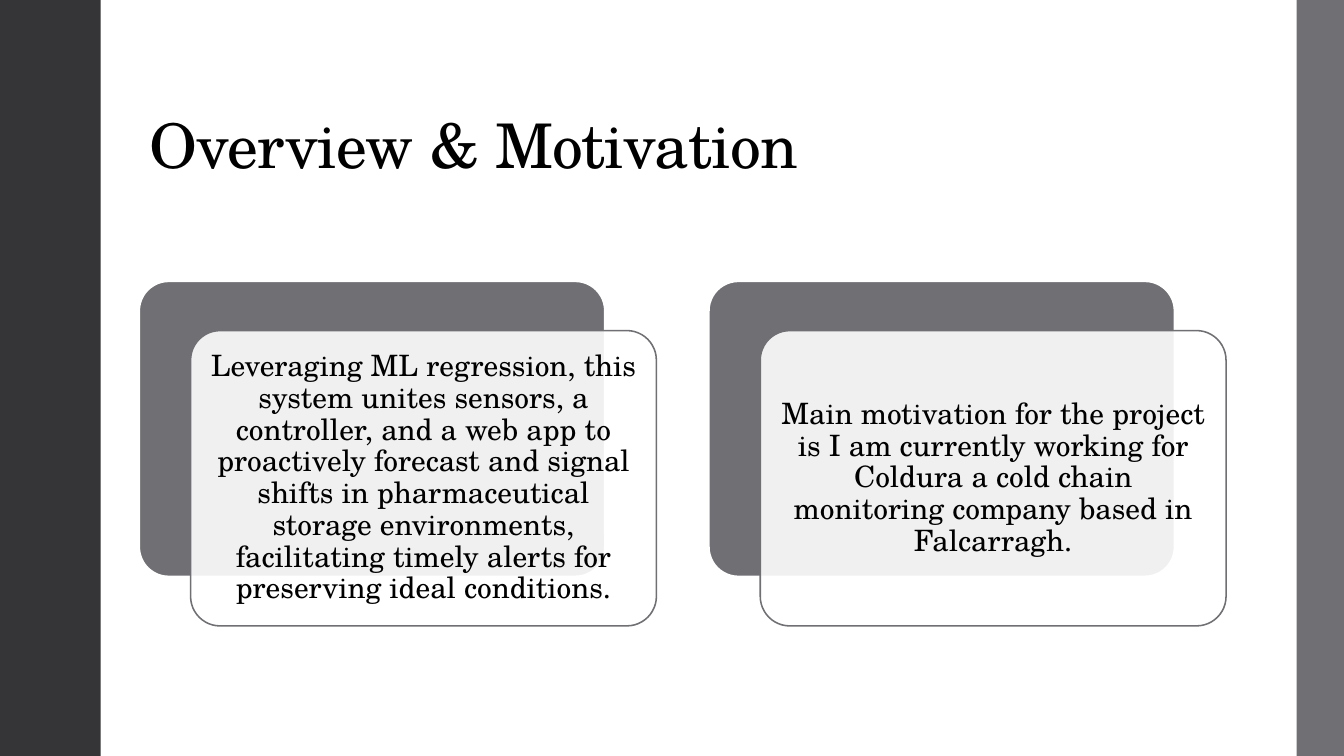
from pptx import Presentation
from pptx.dml.color import RGBColor
from pptx.enum.shapes import MSO_SHAPE
from pptx.enum.text import MSO_ANCHOR, PP_ALIGN
from pptx.oxml.ns import qn
from pptx.util import Inches, Pt
from lxml import etree

RECT, ROUND = MSO_SHAPE.RECTANGLE, MSO_SHAPE.ROUNDED_RECTANGLE
MIDDLE, BOTTOM = MSO_ANCHOR.MIDDLE, MSO_ANCHOR.BOTTOM
LEFT, CENTER = PP_ALIGN.LEFT, PP_ALIGN.CENTER
FONT = "TeX Gyre Schola"
DARK, GRAY, WHITE, BLACK = "353537", "6F6F74", "FFFFFF", "000000"
CARD_W, CARD_H = 4.62, 2.93
SHIFT_X, SHIFT_Y = 0.51, 0.49
FIRST_X, TOP, STEP = 1.38, 2.79, 5.65

CARDS = [
    "Leveraging ML regression, this system unites sensors, a controller, "
    "and a web app to proactively forecast and signal shifts in "
    "pharmaceutical storage environments, facilitating timely alerts for "
    "preserving ideal conditions.",
    "Main motivation for the project is I am currently working for "
    "Coldura a cold chain monitoring company based in Falcarragh.",
]


def color(code):
    return RGBColor.from_string(code)


def apply(target, values):
    for name, value in values.items():
        setattr(target, name, value)


def add_box(slide, kind, x, y, w, h, fill, line=None, width=1):
    box = slide.shapes.add_shape(kind, Inches(x), Inches(y), Inches(w), Inches(h))
    box.shadow.inherit = False
    box.fill.solid()
    box.fill.fore_color.rgb = color(fill)
    if line:
        box.line.color.rgb = color(line)
        box.line.width = Pt(width)
    else:
        box.line.fill.background()
    return box


def set_alpha(box, percent):
    """Make a solid fill partly see-through."""
    tone = box.fill._xPr.find(qn("a:solidFill"))[0]
    etree.SubElement(tone, qn("a:alpha")).set("val", str(percent * 1000))


def write(box, text, size, align, anchor, inset):
    frame = box.text_frame
    apply(frame, {
        "word_wrap": True, "vertical_anchor": anchor,
        "margin_left": Inches(inset), "margin_right": Inches(inset),
        "margin_top": Inches(0.05), "margin_bottom": Inches(0.05),
    })
    para = frame.paragraphs[0]
    apply(para, {"alignment": align, "line_spacing": 0.9})
    run = para.add_run()
    run.text = text
    apply(run.font, {"name": FONT, "size": Pt(size)})
    run.font.color.rgb = color(BLACK)
    return run


def add_title(slide, text):
    box = slide.shapes.add_textbox(Inches(FIRST_X), Inches(0.4), Inches(10.78), Inches(1.45))
    run = write(box, text, 44, LEFT, BOTTOM, 0.1)
    run.font._element.set("spc", "-50")


def add_card(slide, x, text):
    back = add_box(slide, ROUND, x, TOP, CARD_W, CARD_H, GRAY, WHITE, 1.35)
    front = add_box(slide, ROUND, x + SHIFT_X, TOP + SHIFT_Y, CARD_W, CARD_H, WHITE, GRAY, 1.1)
    for box in (back, front):
        box.adjustments[0] = 0.1
    set_alpha(front, 90)
    write(front, text, 21, CENTER, MIDDLE, 0.09)


def main():
    deck = Presentation()
    apply(deck, {"slide_width": Inches(13.33), "slide_height": Inches(7.5)})
    slide = deck.slides.add_slide(deck.slide_layouts[6])
    add_box(slide, RECT, 0, 0, 1, 7.5, DARK)
    add_box(slide, RECT, 12.86, 0, 0.47, 7.5, GRAY)
    add_title(slide, "Overview & Motivation")
    for i, text in enumerate(CARDS):
        add_card(slide, FIRST_X + i * STEP, text)
    deck.save("out.pptx")


if __name__ == "__main__":
    main()
